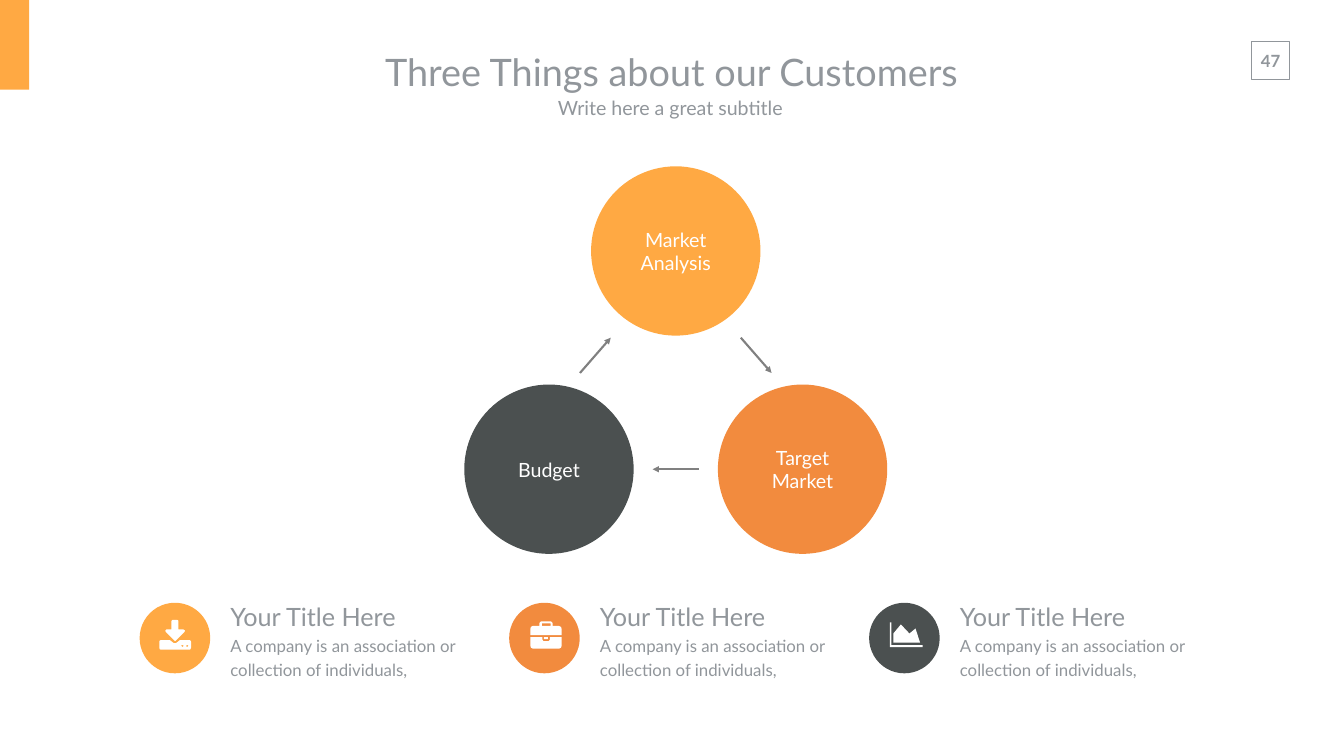
import math

from lxml import etree
from pptx import Presentation
from pptx.dml.color import RGBColor
from pptx.enum.shapes import MSO_CONNECTOR, MSO_SHAPE
from pptx.enum.text import MSO_ANCHOR, MSO_AUTO_SIZE, PP_ALIGN
from pptx.oxml.ns import qn
from pptx.util import Inches, Pt

RECT, OVAL, STRAIGHT = MSO_SHAPE.RECTANGLE, MSO_SHAPE.OVAL, MSO_CONNECTOR.STRAIGHT
TOP, MIDDLE = MSO_ANCHOR.TOP, MSO_ANCHOR.MIDDLE
LEFT, CENTER = PP_ALIGN.LEFT, PP_ALIGN.CENTER
NO_FIT = MSO_AUTO_SIZE.NONE
FONT = "Lato"
COLORS = {"amber": "FFA943", "orange": "F28B3E", "slate": "4B5050",
          "text": "91969B", "arrow": "808080", "white": "FFFFFF"}
ICON_UNIT = Inches(0.01)


def color(name):
    """Return the palette colour with this name."""
    return RGBColor.from_string(COLORS[name])


def dot(x, y, radius):
    """Return the outline of a small round hole."""
    return [(x + radius * math.cos(step * math.pi / 6),
             y + radius * math.sin(step * math.pi / 6)) for step in range(12)]


DOWNLOAD = [
    [(63, 55), (62, 58), (60, 59), (3, 59), (1, 58), (0, 55), (0, 43), (1, 41),
     (3, 40), (21, 40), (26, 44), (29, 46), (33, 46), (36, 44), (41, 40),
     (60, 40), (62, 41), (63, 43)],
    [(50, 24), (33, 41), (31, 42), (30, 41), (13, 24), (12, 21), (14, 19),
     (24, 19), (24, 2), (26, 0), (36, 0), (38, 2), (38, 19), (48, 19), (51, 21)],
    dot(46, 51.5, 2), dot(55.5, 51.5, 2)]
BRIEFCASE = [
    [(62, 27), (0, 27), (0, 15), (1, 11), (5, 9), (18, 9), (18, 3), (21, 0),
     (41, 0), (44, 3), (44, 9), (57, 9), (61, 11), (62, 15)],
    [(62, 48), (61, 52), (57, 54), (5, 54), (1, 52), (0, 48), (0, 31),
     (24, 31), (24, 36), (26, 39), (36, 39), (39, 36), (39, 31), (62, 31)],
    [(40, 9), (40, 4), (23, 4), (23, 9)],
    [(35, 35), (27, 35), (27, 31), (35, 31)]]
AREA_CHART = [
    [(65, 49), (0, 49), (0, 0), (3, 0), (3, 45), (65, 45)],
    [(60, 40), (7, 40), (7, 22), (22, 4), (39, 22), (51, 12)]]


def write(frame, lines, align=CENTER, anchor=MIDDLE, insets=(0, 0), spacing=None):
    """Fill a text frame with (text, size, colour, bold) lines."""
    frame.word_wrap = True
    frame.auto_size = NO_FIT
    frame.vertical_anchor = anchor
    frame.margin_left = frame.margin_right = Inches(insets[0])
    frame.margin_top = frame.margin_bottom = Inches(insets[1])
    for index, (text, size, tint, bold) in enumerate(lines):
        paragraph = frame.add_paragraph() if index else frame.paragraphs[0]
        paragraph.alignment = align
        paragraph.line_spacing = spacing
        run = paragraph.add_run()
        run.text = text
        run.font.name = FONT
        run.font.size = Pt(size)
        run.font.bold = bold
        run.font.color.rgb = color(tint)


def paint(shape, fill):
    """Give a shape a flat fill without outline or shadow."""
    shape.shadow.inherit = False
    shape.fill.solid()
    shape.fill.fore_color.rgb = color(fill)
    shape.line.fill.background()


def add_filled(slide, kind, box, fill):
    """Add a flat preset shape in the box."""
    shape = slide.shapes.add_shape(kind, *map(Inches, box))
    paint(shape, fill)
    return shape


def add_text(slide, box, lines, **layout):
    """Add a text box in the box."""
    write(slide.shapes.add_textbox(*map(Inches, box)).text_frame, lines, **layout)


def add_icon(slide, left, top, outlines):
    """Draw a white icon whose outlines are in hundredths of an inch."""
    first, *others = outlines
    builder = slide.shapes.build_freeform(*first[0], scale=ICON_UNIT)
    builder.add_line_segments(first[1:], close=True)
    for outline in others:
        builder.move_to(*outline[0])
        builder.add_line_segments(outline[1:], close=True)
    paint(builder.convert_to_shape(Inches(left), Inches(top)), "white")


def add_arrow(slide, start, end):
    """Add a grey line with an arrowhead at its end."""
    arrow = slide.shapes.add_connector(STRAIGHT, *map(Inches, start + end))
    arrow.line.width = Pt(3)
    arrow.line.color.rgb = color("arrow")
    etree.SubElement(arrow.line._get_or_add_ln(), qn("a:tailEnd"), type="triangle")
    etree.SubElement(arrow._element.spPr, qn("a:effectLst"))


def add_header(slide, box):
    """Place the title and subtitle, centred in the box."""
    left, top, width, height = box
    title = slide.shapes.title
    title.left, title.top, title.width, title.height = map(
        Inches, (left, top, width, 1.18))
    write(title.text_frame, [("Three Things about our Customers", 54, "text", False)],
          insets=(0.27, 0.13))
    add_text(slide, (left + 2.42, top + height - 0.74, 10.33, 0.74),
             [("Write here a great subtitle ", 28, "text", False)],
             insets=(0.27, 0.13))


def add_page_marks(slide, box):
    """Place the corner tab and the framed page number."""
    add_filled(slide, RECT, (0, 0, 0.58, 1.78), "amber")
    frame = slide.shapes.add_shape(RECT, *map(Inches, box))
    frame.shadow.inherit = False
    frame.fill.background()
    frame.line.color.rgb = color("text")
    frame.line.width = Pt(1)
    left, top, width, _ = box
    add_text(slide, (left - 0.03, top + 0.08, width + 0.06, 0.61),
             [("47", 24, "text", True)], anchor=TOP, insets=(0, 0.1))


def add_cycle(slide, box):
    """Place three circles in a triangle, linked by arrows."""
    left, top, width, height = box
    size = 3.36
    middle = left + width / 2
    right, low = left + width - size, top + height - size
    circles = [(middle - size / 2, top, "amber", ["Market", "Analysis"]),
               (right, low, "orange", ["Target", "Market"]),
               (left, low, "slate", ["Budget"])]
    for x, y, fill, words in circles:
        circle = add_filled(slide, OVAL, (x, y, size, size), fill)
        write(circle.text_frame, [(word, 28, "white", False) for word in words])
    upper, lower = top + size + 0.04, low - 0.23
    base = low + size / 2
    add_arrow(slide, (middle - 1.9, lower), (middle - 1.29, upper))
    add_arrow(slide, (middle + 1.29, upper), (middle + 1.9, lower))
    add_arrow(slide, (middle + 0.46, base), (middle - 0.46, base))


def add_feature(slide, box, fill, icon, icon_offset):
    """Place a round icon with a heading and description beside it."""
    left, top, width, height = box
    add_filled(slide, OVAL, (left, top + 0.25, 1.4, 1.4), fill)
    add_icon(slide, left + icon_offset[0], top + icon_offset[1], icon)
    add_text(slide, (left + 1.6, top, width - 1.6, height),
             [("Your Title Here", 36, "text", False),
              ("A company is an association or collection of individuals,",
               24, "text", False)],
             align=LEFT, anchor=TOP, insets=(0.2, 0.1), spacing=1.2)


def main():
    """Build and save the slide."""
    deck = Presentation()
    deck.slide_width, deck.slide_height = Inches(26.66), Inches(15)
    slide = deck.slides.add_slide(deck.slide_layouts[5])
    add_page_marks(slide, (24.83, 0.82, 0.75, 0.75))
    add_header(slide, (5.76, 0.83, 15.12, 1.67))
    add_cycle(slide, (9.21, 3.3, 8.39, 7.69))
    features = [(2.77, 7.53, "amber", DOWNLOAD, (0.39, 0.59)),
                (10.1, 6.71, "orange", BRIEFCASE, (0.42, 0.62)),
                (17.24, 6.69, "slate", AREA_CHART, (0.41, 0.64))]
    for left, width, fill, icon, icon_offset in features:
        add_feature(slide, (left, 11.71, width, 1.88), fill, icon, icon_offset)
    deck.save("out.pptx")


if __name__ == "__main__":
    main()
